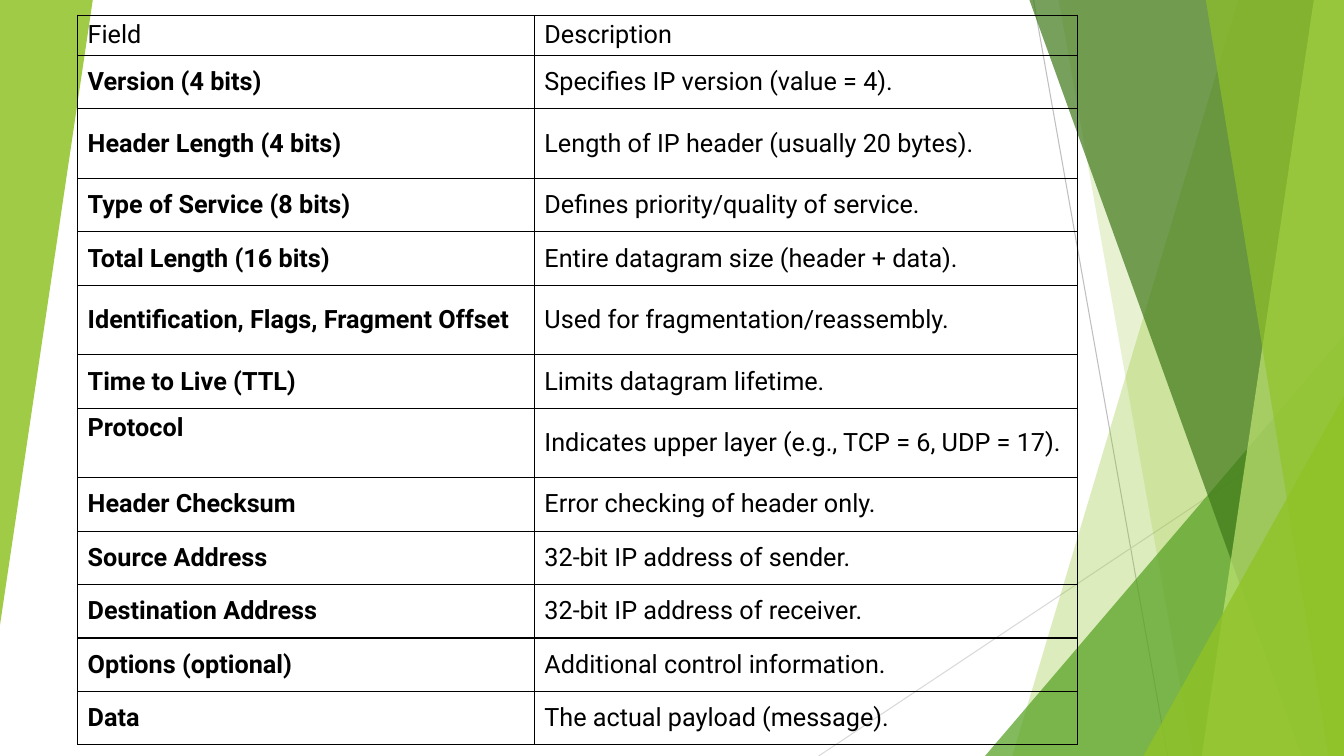
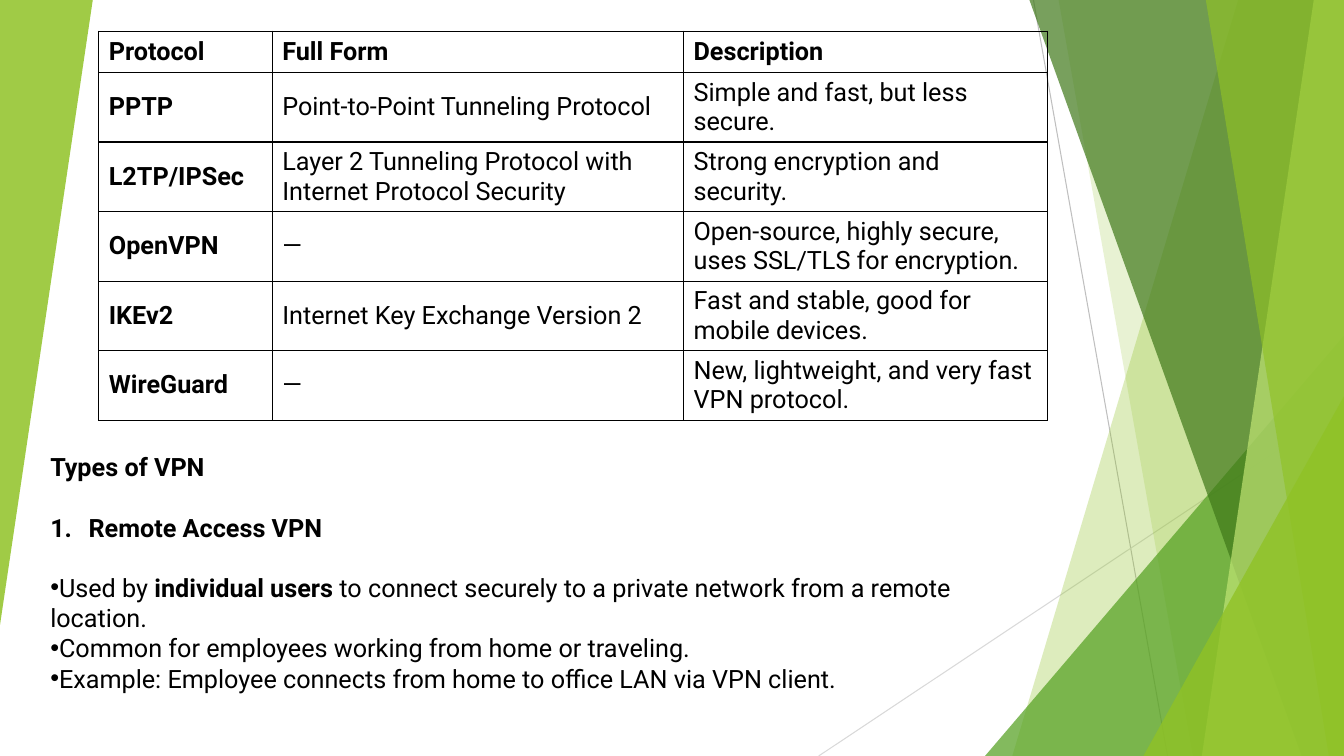
from lxml.etree import SubElement
from pptx import Presentation
from pptx.dml.color import RGBColor
from pptx.enum.shapes import MSO_CONNECTOR, MSO_SHAPE
from pptx.enum.text import MSO_ANCHOR, MSO_AUTO_SIZE
from pptx.oxml import parse_xml
from pptx.oxml.ns import nsdecls, qn
from pptx.util import Inches, Pt

WIDTH, HEIGHT = 13.33, 7.5
FONT, TEXT_SIZE = "Roboto", Pt(18)
BLACK, LIME = "000000", "90C226"


def color(hex_string):
    return RGBColor.from_string(hex_string)


def add_grid(slide, left, top, columns, heights, rows, bold_header):
    """Add an unfilled table with black rules and a bold first column."""
    frame = slide.shapes.add_table(
        len(rows), len(columns), Inches(left), Inches(top),
        Inches(sum(columns)), Inches(sum(heights)))
    grid = frame.table
    grid.first_row = grid.horz_banding = False
    for column, width in zip(grid.columns, columns):
        column.width = Inches(width)
    for r, (row, height, texts) in enumerate(zip(grid.rows, heights, rows)):
        row.height = Inches(height)
        for c, (cell, text) in enumerate(zip(row.cells, texts)):
            cell.text = text
            cell.vertical_anchor = MSO_ANCHOR.MIDDLE
            font = cell.text_frame.paragraphs[0].font
            font.name, font.size = FONT, TEXT_SIZE
            font.color.rgb = color(BLACK)
            font.bold = bold_header if r == 0 else c == 0
            cell.fill.background()
            properties = cell._tc.get_or_add_tcPr()
            for position, side in enumerate(("lnL", "lnR", "lnT", "lnB")):
                properties.insert(position, parse_xml(
                    f'<a:{side} {nsdecls("a")} w="{Pt(1)}"><a:solidFill>'
                    f'<a:srgbClr val="{BLACK}"/></a:solidFill></a:{side}>'))
    return grid


deck = Presentation()
deck.slide_width, deck.slide_height = Inches(WIDTH), Inches(HEIGHT)
layout = deck.slide_layouts[6]
for placeholder in list(layout.placeholders):
    placeholder.element.getparent().remove(placeholder.element)
header_slide = deck.slides.add_slide(layout)
vpn_slide = deck.slides.add_slide(layout)

# Shared decoration: thin lines, then translucent facets
decoration = []
for x1, y1, x2, y2, shade in [
    (10.25, 0, 11.58, HEIGHT, "BFBFBF"),
    (WIDTH, 4.03, 8.12, HEIGHT, "D9D9D9"),
]:
    ray = header_slide.shapes.add_connector(
        MSO_CONNECTOR.STRAIGHT, Inches(x1), Inches(y1), Inches(x2), Inches(y2))
    ray.line.color.rgb = color(shade)
    ray.line.width = Pt(0.75)
    SubElement(ray.element.spPr, qn("a:effectLst"))
    decoration.append(ray)

# A band runs from a top x to a bottom x; a corner has a left and a top
for kind, a, b, shade, opacity in [
    ("band", 12.28, 10.04, LIME, 30),
    ("band", 10.5, 11.83, LIME, 20),
    ("corner", 9.77, 3.33, "54A021", 72),
    ("band", 10.21, 12.91, "3F7819", 70),
    ("band", 13.03, 11.92, "C0E474", 70),
    ("band", 11.96, 13.18, LIME, 65),
    ("corner", 11.34, 3.93, LIME, 80),
    ("left edge", 0.92, 6.2, LIME, 85),
]:
    if kind == "band":
        outline = header_slide.shapes.build_freeform(Inches(a), 0)
        outline.add_line_segments([
            (Inches(x), Inches(y))
            for x, y in [(WIDTH, 0), (WIDTH, HEIGHT), (b, HEIGHT)]])
        facet = outline.convert_to_shape()
    else:
        box = (a, b, WIDTH - a, HEIGHT - b) if kind == "corner" else (0, 0, a, b)
        facet = header_slide.shapes.add_shape(
            MSO_SHAPE.ISOSCELES_TRIANGLE, *[Inches(length) for length in box])
        facet.adjustments[0] = 1
        facet.rotation = 0 if kind == "corner" else 180
    facet.shadow.inherit = False
    facet.fill.solid()
    facet.fill.fore_color.rgb = color(shade)
    facet.line.fill.background()
    fill_color = next(facet.element.iter(qn("a:srgbClr")))
    SubElement(fill_color, qn("a:alpha"), val=str(opacity * 1000))
    decoration.append(facet)

# Both slides inherit the decoration from their layout
for part in decoration:
    layout.shapes.element.append(part.element)

# Slide 1: IP header fields
header_fields = [
    ("Field", "Description"),
    ("Version (4 bits)", "Specifies IP version (value = 4)."),
    ("Header Length (4 bits)", "Length of IP header (usually 20 bytes)."),
    ("Type of Service (8 bits)", "Defines priority/quality of service."),
    ("Total Length (16 bits)", "Entire datagram size (header + data)."),
    ("Identification, Flags, Fragment Offset", "Used for fragmentation/reassembly."),
    ("Time to Live (TTL)", "Limits datagram lifetime."),
    ("Protocol", "Indicates upper layer (e.g., TCP = 6, UDP = 17)."),
    ("Header Checksum", "Error checking of header only."),
    ("Source Address", "32-bit IP address of sender."),
    ("Destination Address", "32-bit IP address of receiver."),
    ("Options (optional)", "Additional control information."),
    ("Data", "The actual payload (message)."),
]
TALL_ROWS, PROTOCOL_ROW = (2, 5, 7), 7
field_heights = [0.4] + [
    0.69 if r in TALL_ROWS else 0.53 for r in range(1, len(header_fields))]
field_grid = add_grid(header_slide, 0.77, 0.15, [4.53, 5.39], field_heights,
                      header_fields, bold_header=False)
field_grid.cell(PROTOCOL_ROW, 0).vertical_anchor = MSO_ANCHOR.TOP

# Slide 2: VPN protocols
vpn_protocols = [
    ("Protocol", "Full Form", "Description"),
    ("PPTP", "Point-to-Point Tunneling Protocol", "Simple and fast, but less secure."),
    ("L2TP/IPSec", "Layer 2 Tunneling Protocol with Internet Protocol Security",
     "Strong encryption and security."),
    ("OpenVPN", "—", "Open-source, highly secure, uses SSL/TLS for encryption."),
    ("IKEv2", "Internet Key Exchange Version 2",
     "Fast and stable, good for mobile devices."),
    ("WireGuard", "—", "New, lightweight, and very fast VPN protocol."),
]
add_grid(vpn_slide, 0.98, 0.31, [1.72, 4.08, 3.61],
         [0.41] + [0.69] * (len(vpn_protocols) - 1), vpn_protocols, bold_header=True)

# Slide 2: VPN types, each line as (bullet, space before, runs with bold flag)
vpn_types = [
    (None, 0, [("Types of VPN", True)]),
    ("number", 21.5, [("Remote Access VPN", True)]),
    ("dot", 21.5, [
        ("Used by ", False), ("individual users", True),
        (" to connect securely to a private network from a remote location.", False)]),
    ("dot", 0, [("Common for employees working from home or traveling.", False)]),
    ("dot", 0, [
        ("Example: Employee connects from home to office LAN via VPN client.", False)]),
]
types_box = vpn_slide.shapes.add_textbox(
    Inches(0.4), Inches(4.43), Inches(9.99), Inches(2.52))
types_text = types_box.text_frame
types_text.word_wrap = True
types_text.auto_size = MSO_AUTO_SIZE.SHAPE_TO_FIT_TEXT
for i, (bullet, space, runs) in enumerate(vpn_types):
    line = types_text.add_paragraph() if i else types_text.paragraphs[0]
    line.space_before = Pt(space)
    properties = line._p.get_or_add_pPr()
    if bullet == "number":
        properties.set("marL", str(Inches(0.38)))
        properties.set("indent", str(-Inches(0.38)))
        SubElement(properties, qn("a:buAutoNum"), type="arabicPeriod")
    elif bullet == "dot":
        SubElement(properties, qn("a:buFont"), typeface="Arial")
        SubElement(properties, qn("a:buChar"), char="•")
    line.font.name, line.font.size = FONT, TEXT_SIZE
    line.font.color.rgb = color(BLACK)
    for text, bold in runs:
        run = line.add_run()
        run.text = text
        run.font.bold = bold

deck.save("out.pptx")
